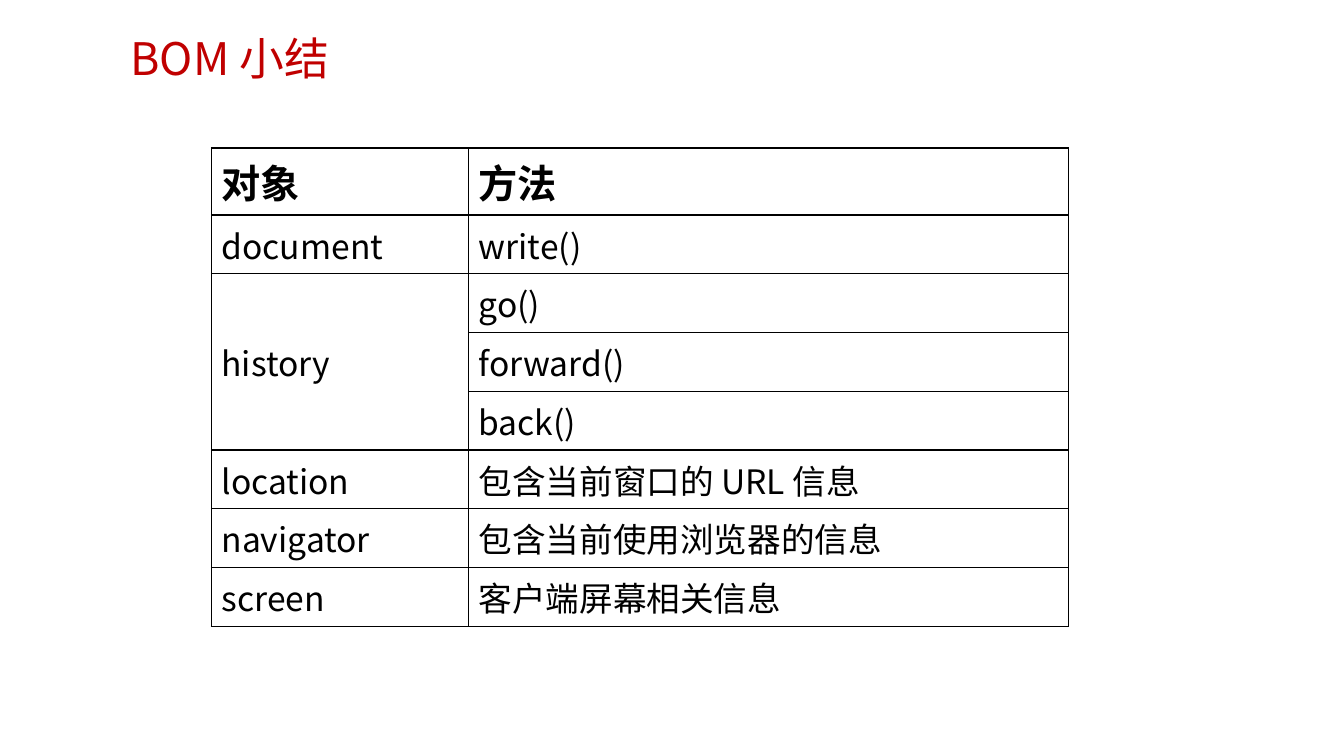
import pptx
import pptx.util
import pptx.dml.color
import pptx.enum.text
import pptx.oxml
import pptx.oxml.ns
from lxml import etree

Cm = pptx.util.Cm
Pt = pptx.util.Pt

COLORS = {"title": "C00000", "text": "000000", "border": "000000"}
BODY_FONT = "Noto Sans CJK SC"
HEADER_FONT = "Arial"
ROWS = [
    ("对象", "方法"),
    ("document", "write()"),
    ("history", "go()"),
    ("", "forward()"),
    ("", "back()"),
    ("location", "包含当前窗口的 URL 信息"),
    ("navigator", "包含当前使用浏览器的信息"),
    ("screen", "客户端屏幕相关信息"),
]
HISTORY_ROWS = (2, 4)
COLUMN_WIDTHS = (Cm(6.48), Cm(15.11))
HEADER_HEIGHT = Cm(1.69)
ROW_HEIGHT = Cm(1.48)


def write_text(text_frame, text, *, size, color, font=BODY_FONT, bold=False):
    """Put formatted text in the first paragraph."""
    run = text_frame.paragraphs[0].add_run()
    run.text = text
    run.font.size = Pt(size)
    run.font.bold = bold
    run.font.name = font
    run.font.color.rgb = pptx.dml.color.RGBColor.from_string(color)
    east_asian = etree.SubElement(run.font._element, pptx.oxml.ns.qn("a:ea"))
    east_asian.set("typeface", BODY_FONT)


def add_title(slide, text):
    shape = slide.shapes.add_textbox(Cm(3.04), Cm(0.66), Cm(22.76), Cm(1.37))
    shape.text_frame.word_wrap = True
    write_text(shape.text_frame, text, size=32, color=COLORS["title"])


def set_borders(cell, color, width):
    properties = cell._tc.get_or_add_tcPr()
    for position, side in enumerate(("lnL", "lnR", "lnT", "lnB")):
        border = pptx.oxml.parse_xml(
            f'<a:{side} {pptx.oxml.ns.nsdecls("a")} w="{width}"><a:solidFill>'
            f'<a:srgbClr val="{color}"/></a:solidFill></a:{side}>'
        )
        properties.insert(position, border)


def add_summary_table(slide, rows):
    shape = slide.shapes.add_table(
        len(rows), len(COLUMN_WIDTHS), Cm(5.33), Cm(3.73),
        sum(COLUMN_WIDTHS), HEADER_HEIGHT + ROW_HEIGHT * (len(rows) - 1),
    )
    table = shape.table
    table.first_row = False
    table.horz_banding = False
    for column, width in zip(table.columns, COLUMN_WIDTHS):
        column.width = width
    first, last = HISTORY_ROWS
    table.cell(first, 0).merge(table.cell(last, 0))

    for row_index, texts in enumerate(rows):
        is_header = row_index == 0
        table.rows[row_index].height = HEADER_HEIGHT if is_header else ROW_HEIGHT
        for column_index, text in enumerate(texts):
            cell = table.cell(row_index, column_index)
            cell.fill.background()
            set_borders(cell, COLORS["border"], Pt(1))
            if not text:
                continue
            if not is_header:
                cell.vertical_anchor = pptx.enum.text.MSO_ANCHOR.MIDDLE
            write_text(
                cell.text_frame, text,
                size=28 if is_header else 24,
                color=COLORS["text"],
                font=HEADER_FONT if is_header else BODY_FONT,
                bold=is_header,
            )


def main():
    presentation = pptx.Presentation()
    presentation.slide_width = Cm(33.87)
    presentation.slide_height = Cm(19.05)
    slide = presentation.slides.add_slide(presentation.slide_layouts[6])
    add_title(slide, "BOM 小结")
    add_summary_table(slide, ROWS)
    presentation.save("out.pptx")


if __name__ == "__main__":
    main()
